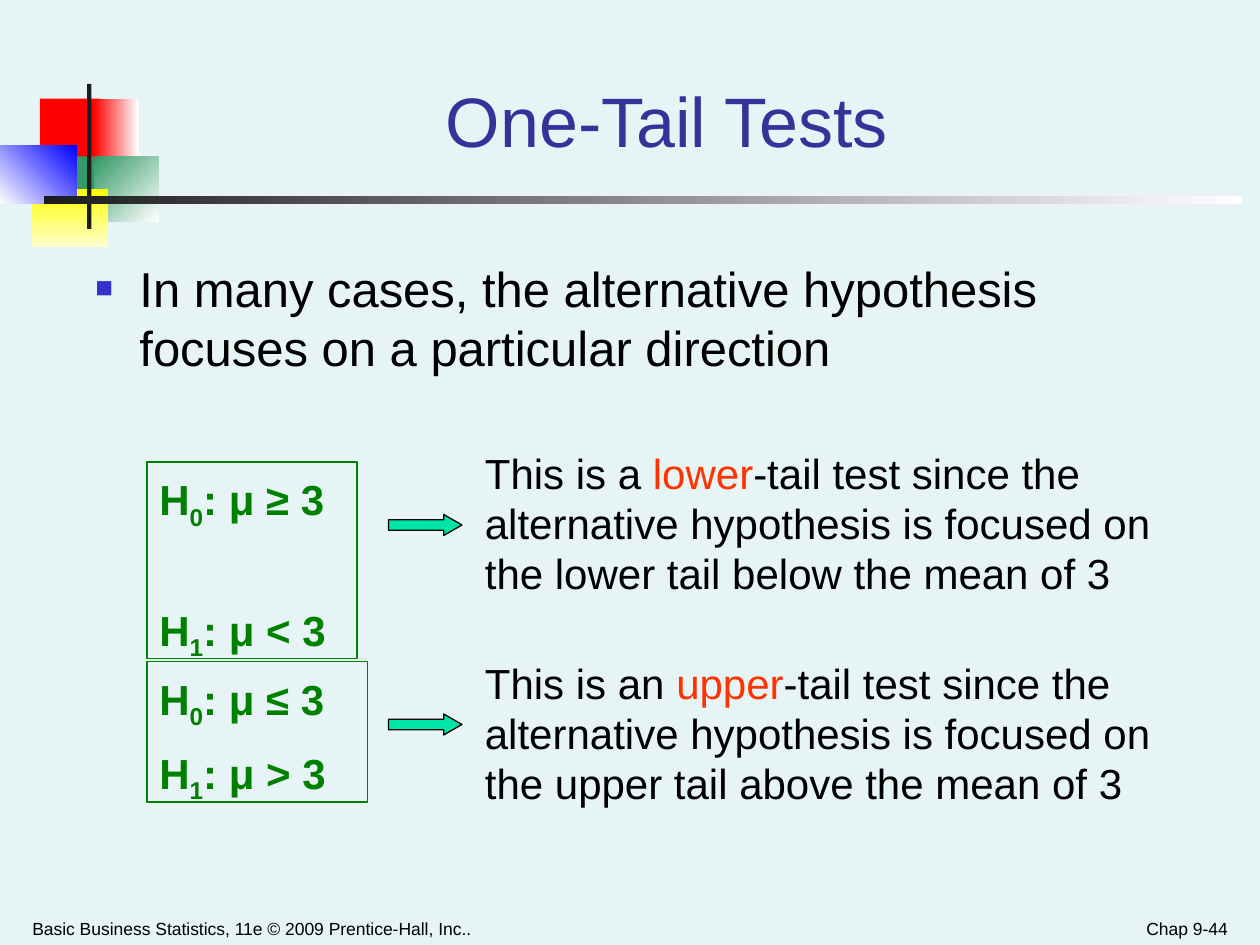
import pptx
import pptx.util
import pptx.dml.color
import pptx.enum.shapes
import pptx.enum.text
import pptx.oxml.ns
import lxml.etree

CELL = 1 / 12
COLORS = {
    "background": "E7F4F5", "title": "333399", "bullet": "3333CC",
    "text": "000000", "hypothesis": "008000", "emphasis": "FF3300",
    "arrow": "00E4A8", "dark": "1C1C1C", "white": "FFFFFF",
    "red": "FF0000", "green": "339966", "yellow": "FFFF00",
    "cream": "FFFFCC", "blue": "0000FF",
}
ALIGN = pptx.enum.text.PP_ALIGN
ANCHOR = pptx.enum.text.MSO_ANCHOR
SHAPE = pptx.enum.shapes.MSO_SHAPE


def color(name):
    return pptx.dml.color.RGBColor.from_string(COLORS[name])


def grid(*cells):
    return [pptx.util.Inches(cell * CELL) for cell in cells]


def add_block(slide, area, fill=None, angle=0, line=None, kind=SHAPE.RECTANGLE):
    block = slide.shapes.add_shape(kind, *grid(*area))
    block.shadow.inherit = False
    if isinstance(fill, tuple):
        block.fill.gradient()
        block.fill.gradient_angle = (360 - angle) % 360
        for stop, name in zip(block.fill.gradient_stops, fill):
            stop.color.rgb = color(name)
    elif fill:
        block.fill.solid()
        block.fill.fore_color.rgb = color(fill)
    else:
        block.fill.background()
    if line:
        block.line.color.rgb = color(line)
        block.line.width = pptx.util.Pt(0.75)
    else:
        block.line.fill.background()
    return block


def add_bullet(paragraph):
    properties = paragraph._p.get_or_add_pPr()
    indent = pptx.util.Inches(0.35)
    properties.set("marL", str(indent))
    properties.set("indent", str(-indent))
    qn = pptx.oxml.ns.qn
    bullet_color = lxml.etree.SubElement(properties, qn("a:buClr"))
    lxml.etree.SubElement(bullet_color, qn("a:srgbClr"), val=COLORS["bullet"])
    lxml.etree.SubElement(properties, qn("a:buSzPct"), val="60000")
    lxml.etree.SubElement(properties, qn("a:buFont"), typeface="Arial")
    lxml.etree.SubElement(properties, qn("a:buChar"), char="■")


def write(frame, paragraphs, size, tint="text", bold=False, align=ALIGN.LEFT,
          anchor=ANCHOR.TOP, inset=0.1, spacing=None, before=0, bullet=False):
    frame.word_wrap = True
    frame.vertical_anchor = anchor
    frame.margin_left = frame.margin_right = pptx.util.Inches(inset)
    frame.margin_top = frame.margin_bottom = pptx.util.Inches(0.05)
    for index, pieces in enumerate(paragraphs):
        paragraph = frame.paragraphs[0] if index == 0 else frame.add_paragraph()
        if bullet:
            add_bullet(paragraph)
        paragraph.alignment = align
        if spacing:
            paragraph.line_spacing = spacing[index]
        if index:
            paragraph.space_before = pptx.util.Pt(before)
        for words, role in pieces:
            run = paragraph.add_run()
            run.text = words
            run.font.name = "Arial"
            run.font.size = pptx.util.Pt(size)
            run.font.bold = bold
            run.font.color.rgb = color("emphasis" if role == "emphasis" else tint)
            if role == "subscript":
                run._r.get_or_add_rPr().set("baseline", "-25000")


def add_text(slide, area, paragraphs, size, **style):
    box = slide.shapes.add_textbox(*grid(*area))
    write(box.text_frame, paragraphs, size, **style)


def add_ornament(slide):
    for area, fill, angle in [
        ((3.8, 9.4, 5.8, 6.2), "red", 0),
        ((8.9, 9.4, 4.3, 6.2), ("red", "white"), 0),
        ((9, 14.9, 6.1, 6.2), ("green", "white"), 45),
        ((5.2, 14.9, 3.8, 6.2), "green", 0),
        ((3, 18, 7.3, 5.5), ("yellow", "cream"), 90),
        ((0, 13.9, 7.3, 5.5), ("white", "blue"), 315),
        ((8.3, 8, 0.4, 13.8), "dark", 0),
        ((4.2, 18.7, 114.1, 0.7), ("dark", "white"), 0),
    ]:
        add_block(slide, area, fill, angle)


def add_hypotheses(slide, area, null, alternative, gap):
    box = add_block(slide, area, line="hypothesis")
    lines = [[("H", None), (number, "subscript"), (claim, None)]
             for number, claim in (("0", null), ("1", alternative))]
    write(box.text_frame, lines, 24, tint="hypothesis", bold=True,
          spacing=(1.1, 0.7), before=gap)


def add_explanation(slide, area, opening, tail, place):
    ending = ("-tail test since the alternative hypothesis is focused on "
              f"the {tail} tail {place} the mean of 3")
    add_text(slide, area, [[(opening, None), (tail, "emphasis"), (ending, None)]], 24)


def add_arrow(slide, row):
    arrow = add_block(slide, (37, row, 7, 2), "arrow", line="text",
                      kind=SHAPE.RIGHT_ARROW)
    arrow.adjustments[0] = 0.5
    arrow.adjustments[1] = 0.87


def main():
    deck = pptx.Presentation()
    deck.slide_width, deck.slide_height = grid(120, 90)
    slide = deck.slides.add_slide(deck.slide_layouts[6])
    slide.background.fill.solid()
    slide.background.fill.fore_color.rgb = color("background")

    add_ornament(slide)
    footer = {"size": 10, "anchor": ANCHOR.BOTTOM, "inset": 0.09}
    add_text(slide, (2, 85.8, 61, 4.2),
             [[("Basic Business Statistics, 11e © 2009 Prentice-Hall, Inc..", None)]],
             **footer)
    add_text(slide, (90, 85.8, 28, 4.2), [[("Chap 9-44", None)]],
             align=ALIGN.RIGHT, **footer)
    add_text(slide, (15.1, 3, 96.8, 13), [[("One-Tail Tests", None)]], 40,
             tint="title", align=ALIGN.CENTER, anchor=ANCHOR.BOTTOM, inset=0.09)
    add_text(slide, (8, 24, 99, 14.5),
             [[("In many cases, the alternative hypothesis focuses on "
                "a particular direction", None)]], 28, inset=0.09, bullet=True)

    add_hypotheses(slide, (14, 44, 20, 18.7), ": μ ≥ 3", ": μ < 3", 47.5)
    add_hypotheses(slide, (14, 63, 21, 13.4), ": μ ≤ 3", ": μ > 3", 15)
    add_explanation(slide, (45, 42, 68, 15.6), "This is a ", "lower", "below")
    add_explanation(slide, (45, 62, 69, 15.6), "This is an ", "upper", "above")
    for row in (49, 68):
        add_arrow(slide, row)

    deck.save("out.pptx")


if __name__ == "__main__":
    main()
